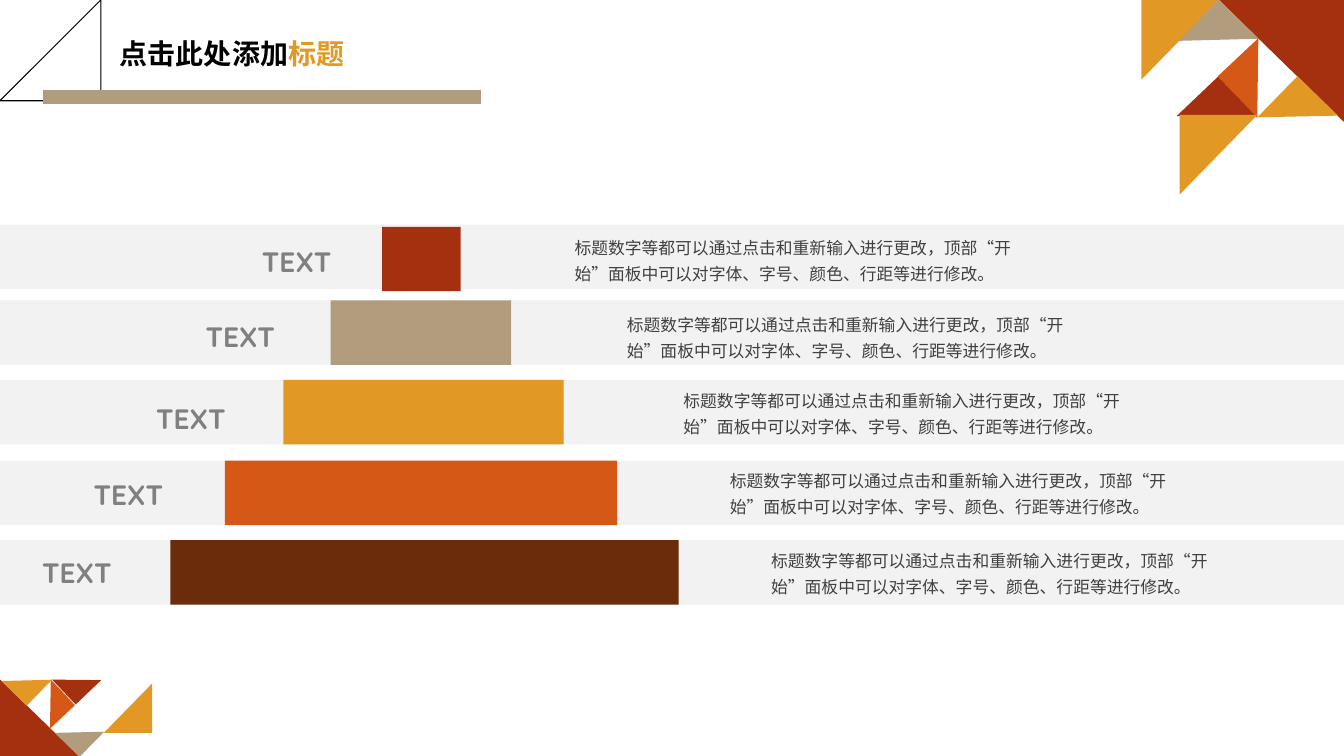
from lxml import etree
from pptx import Presentation
from pptx import util as u
from pptx.dml.color import RGBColor
from pptx.enum import shapes, text
from pptx.oxml import ns

COLORS = {
    "red": "A5300F", "tan": "B19C7D", "gold": "E19825", "orange": "D55816",
    "brown": "6A2C0B", "band": "F2F2F2", "black": "000000",
    "label": "808080", "body": "404040",
}
FONT = "Quicksand"
WIDTH, HEIGHT = 13.33, 7.5
BAR_HEIGHT = 0.64
DESCRIPTION = "标题数字等都可以通过点击和重新输入进行更改，顶部“开始”面板中可以对字体、字号、颜色、行距等进行修改。"

deck = Presentation()
deck.slide_width, deck.slide_height = u.Inches(WIDTH), u.Inches(HEIGHT)
page = deck.slides.add_slide(deck.slide_layouts[6])


def add_block(kind, left, top, width, height, color):
    block = page.shapes.add_shape(kind, *map(u.Inches, (left, top, width, height)))
    block.shadow.inherit = False
    block.fill.solid()
    block.fill.fore_color.rgb = RGBColor.from_string(COLORS[color])
    block.line.fill.background()
    return block


def add_text(left, top, width, height, pieces, size, bold=False, spacing=None):
    box = page.shapes.add_textbox(*map(u.Inches, (left, top, width, height)))
    box.text_frame.word_wrap = True
    para = box.text_frame.paragraphs[0]
    para.line_spacing = spacing
    para.font.name, para.font.size, para.font.bold = FONT, u.Pt(size), bold
    for words, color in pieces:
        span = para.add_run()
        span.text = words
        span.font.color.rgb = RGBColor.from_string(COLORS[color])
    return box


tag_outline = [
    (0.93, 0.33), (0.70, 0.33), (0.68, 0.34), (0.43, 0.58), (0.43, 0.61),
    (0.66, 0.84), (0.67, 0.84), (0.69, 0.84), (0.77, 0.76), (0.77, 0.70),
    (0.67, 0.79), (0.48, 0.60), (0.71, 0.37), (0.71, 0.36), (0.91, 0.36),
    (0.91, 0.56), (0.85, 0.62), (0.85, 0.48), (0.87, 0.45), (0.87, 0.43),
    (0.85, 0.41), (0.83, 0.41), (0.81, 0.41), (0.79, 0.43), (0.79, 0.45),
    (0.79, 0.47), (0.81, 0.48), (0.81, 0.77), (0.81, 0.79), (0.83, 0.80),
    (0.85, 0.78), (0.85, 0.68), (0.94, 0.59), (0.95, 0.56), (0.95, 0.35),
    (0.94, 0.33),
]
builder = page.shapes.build_freeform(*tag_outline[0], scale=u.Inches(1))
builder.add_line_segments(tag_outline[1:], close=True)
tag = builder.convert_to_shape()
tag.shadow.inherit = False
tag.fill.solid()
tag.fill.fore_color.rgb = RGBColor.from_string(COLORS["body"])
tag.line.color.rgb = RGBColor.from_string(COLORS["black"])
tag.line.width = u.Pt(0.75)

rule = page.shapes.add_connector(
    shapes.MSO_CONNECTOR.STRAIGHT, *map(u.Inches, (0.43, 0.96, 4.77, 0.96)))
rule.line.color.rgb = RGBColor.from_string(COLORS["tan"])
rule.line.width = u.Pt(10)
etree.SubElement(rule.line._get_or_add_ln().getparent(), ns.qn("a:effectLst"))

triangles = [
    (0.01, 6.73, 0.76, 0.78, 90, "red"),
    (0.62, 7.09, 0.34, 0.35, 44.5, "tan"),
    (0.33, 6.81, 0.34, 0.35, 316.8, "orange"),
    (0.09, 6.57, 0.35, 0.36, 44.3, "gold"),
    (0.59, 6.57, 0.34, 0.35, 46.4, "red"),
    (1.03, 6.78, 0.48, 0.49, 0, "gold"),
    (12.10, -0.02, 1.22, 1.25, 270, "red"),
    (11.32, 0, 0.77, 0.79, 180, "gold"),
    (11.81, 0.11, 0.55, 0.57, 224.5, "tan"),
    (12.20, 0.49, 0.55, 0.57, 136.8, "orange"),
    (12.59, 0.87, 0.56, 0.57, 224.3, "gold"),
    (11.79, 0.87, 0.55, 0.57, 226.4, "red"),
    (11.70, 1.14, 0.77, 0.79, 180, "gold"),
]
for *frame, angle, color in triangles:
    triangle = add_block(shapes.MSO_SHAPE.ISOSCELES_TRIANGLE, *frame, color)
    triangle.adjustments[0] = 1
    triangle.rotation = angle

title = add_text(1.09, 0.26, 4.88, 0.58,
                 [("点击此处添加", "black"), ("标题", "gold")], 20, True, 0.9)
title.text_frame.vertical_anchor = text.MSO_ANCHOR.MIDDLE

levels = [
    (2.23, 3.79, 2.25, 0.78, "red", 2.50, 2.38, 5.60, 2.25),
    (2.98, 3.28, 2.98, 1.79, "tan", 1.94, 3.12, 6.12, 3.01),
    (3.77, 2.81, 3.77, 2.78, "gold", 1.45, 3.93, 6.68, 3.77),
    (4.57, 2.23, 4.57, 3.89, "orange", 0.83, 4.69, 7.14, 4.56),
    (5.36, 1.69, 5.36, 5.04, "brown", 0.32, 5.46, 7.55, 5.35),
]
for band_top, left, top, width, color, label_left, label_top, body_left, body_top in levels:
    add_block(shapes.MSO_SHAPE.RECTANGLE, 0, band_top, WIDTH, BAR_HEIGHT, "band")
    add_block(shapes.MSO_SHAPE.RECTANGLE, left, top, width, BAR_HEIGHT, color)
    add_text(label_left, label_top, 1.13, 0.44, [("TEXT", "label")], 20, True)
    add_text(body_left, body_top, 4.53, 0.6, [(DESCRIPTION, "body")], 12, spacing=1.3)

deck.save("out.pptx")
